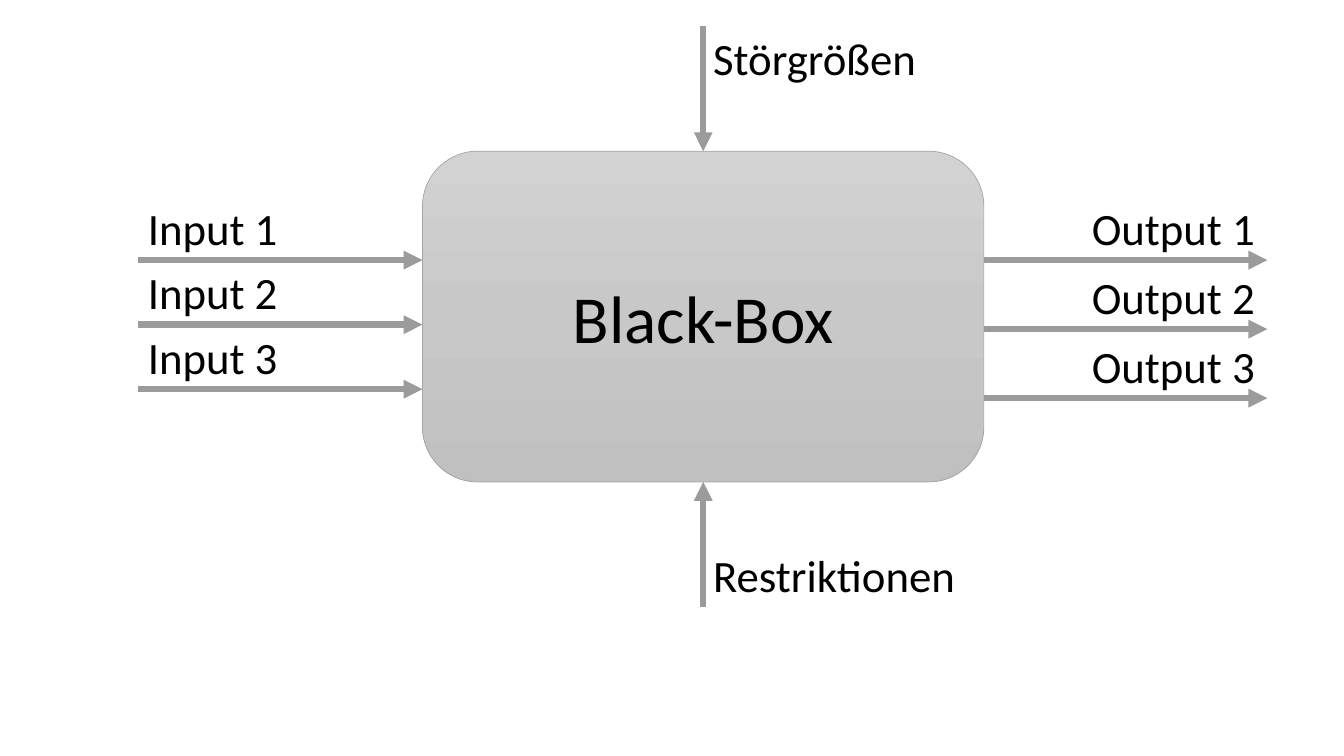
from copy import deepcopy
from lxml import etree
from pptx import Presentation
from pptx.dml.color import RGBColor
from pptx.enum.shapes import MSO_CONNECTOR, MSO_SHAPE
from pptx.enum.text import MSO_ANCHOR, MSO_AUTO_SIZE, PP_ALIGN
from pptx.oxml.ns import qn
from pptx.util import Pt

BLACK = RGBColor(0x00, 0x00, 0x00)
ARROW = RGBColor(0x9B, 0x9B, 0x9B)
BORDER = RGBColor(0xA5, 0xA5, 0xA5)
GRADIENT = [RGBColor(0xD2, 0xD2, 0xD2), RGBColor(0xC8, 0xC8, 0xC8), RGBColor(0xC0, 0xC0, 0xC0)]

BOX_X, BOX_Y, BOX_W, BOX_H = 301.8, 108, 401, 236.2
BOX_R, BOX_B = BOX_X + BOX_W, BOX_Y + BOX_H
MID_X = BOX_X + BOX_W / 2
IN_X, OUT_X = 98.5, 905.3
ROW_Y, IN_STEP, OUT_STEP = 185.8, 46.1, 49.3
V_LEN = 89.3
LABEL_H, OUT_W = 46.1, 132.5


def add_arrow(x1, y1, x2, y2):
    s = slide.shapes.add_connector(MSO_CONNECTOR.STRAIGHT, Pt(x1), Pt(y1), Pt(x2), Pt(y2))
    s.line.color.rgb = ARROW
    s.line.width = Pt(4.5)
    etree.SubElement(s.line._get_or_add_ln(), qn("a:tailEnd"), type="triangle")
    etree.SubElement(s._element.spPr, qn("a:effectLst"))


def add_text(s, text, size):
    p = s.text_frame.paragraphs[0]
    r = p.add_run()
    r.text = text
    r.font.size = Pt(size)
    r.font.name = "Calibri"
    r.font.color.rgb = BLACK
    return p


prs = Presentation()
prs.slide_width, prs.slide_height = Pt(960), Pt(540)
slide = prs.slides.add_slide(prs.slide_layouts[6])

box = slide.shapes.add_shape(MSO_SHAPE.ROUNDED_RECTANGLE, Pt(BOX_X), Pt(BOX_Y), Pt(BOX_W), Pt(BOX_H))
box.shadow.inherit = False
box.line.color.rgb = BORDER
box.line.width = Pt(0.5)
box.fill.gradient()
box.fill.gradient_angle = 270
first = box._element.spPr.find(".//" + qn("a:gs"))
middle = deepcopy(first)
middle.set("pos", "50000")
first.addnext(middle)
for stop, color in zip(box.fill.gradient_stops, GRADIENT):
    stop.color.rgb = color
box.text_frame.vertical_anchor = MSO_ANCHOR.MIDDLE
add_text(box, "Black-Box", 48).alignment = PP_ALIGN.CENTER

labels = [
    ("Störgrößen", MID_X, BOX_Y - V_LEN, 161.3),
    ("Restriktionen", MID_X, BOX_B + V_LEN - LABEL_H, 189.4),
]
add_arrow(MID_X, BOX_Y - V_LEN, MID_X, BOX_Y)
add_arrow(MID_X, BOX_B + V_LEN, MID_X, BOX_B)
for i in range(3):
    in_y, out_y = ROW_Y + i * IN_STEP, ROW_Y + i * OUT_STEP
    add_arrow(IN_X, in_y, BOX_X, in_y)
    add_arrow(BOX_R, out_y, OUT_X, out_y)
    labels.append((f"Input {i + 1}", IN_X, in_y - LABEL_H, 108.7))
    labels.append((f"Output {i + 1}", OUT_X - OUT_W, out_y - LABEL_H, OUT_W))

for text, x, y, w in labels:
    s = slide.shapes.add_textbox(Pt(x), Pt(y), Pt(w), Pt(LABEL_H))
    tf = s.text_frame
    tf.word_wrap = False
    tf.auto_size = MSO_AUTO_SIZE.SHAPE_TO_FIT_TEXT
    add_text(s, text, 32)

prs.save("out.pptx")
